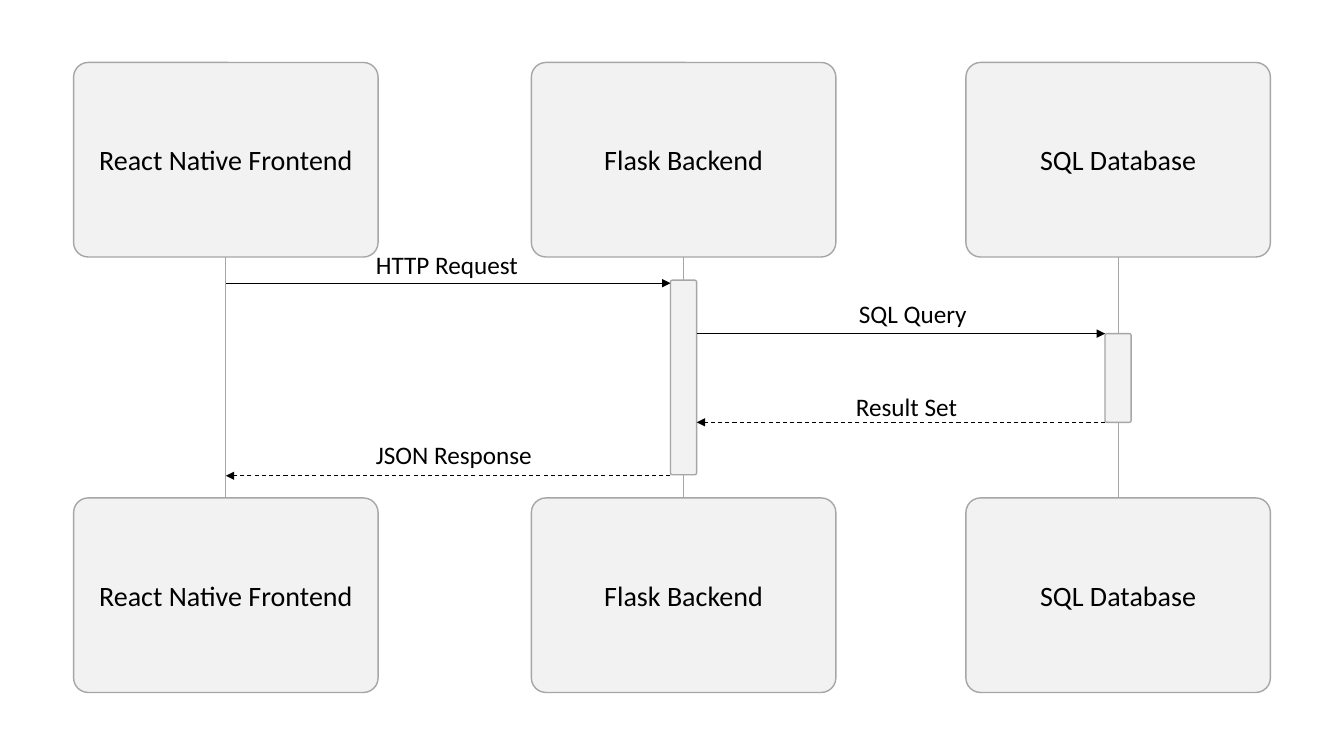
from dataclasses import dataclass

import pptx
import pptx.dml.color
import pptx.enum.dml
import pptx.enum.shapes
import pptx.enum.text
import pptx.oxml
import pptx.oxml.ns
import pptx.shapes.autoshape
import pptx.shapes.connector
import pptx.slide
import pptx.text.text
import pptx.util

PX = 9144  # EMU: 100 px to the inch

BLACK = pptx.dml.color.RGBColor(0x00, 0x00, 0x00)
LIGHT_GRAY = pptx.dml.color.RGBColor(0xF2, 0xF2, 0xF2)
MID_GRAY = pptx.dml.color.RGBColor(0xA6, 0xA6, 0xA6)

FONT = "Calibri"
BOX_WIDTH, BOX_HEIGHT = 302, 193
TOP_ROW, BOTTOM_ROW = 62, 494
ACTIVATION_WIDTH = 26
LABEL_HEIGHT = 40


@dataclass(frozen=True)
class Participant:
    name: str
    center: int


@dataclass(frozen=True)
class Activation:
    center: int
    top: int
    height: int


@dataclass(frozen=True)
class Message:
    text: str
    start: int
    end: int
    y: int
    label_left: int
    label_top: int
    label_width: int
    is_reply: bool = False


FRONTEND = Participant("React Native Frontend", 224)
BACKEND = Participant("Flask Backend", 678)
DATABASE = Participant("SQL Database", 1109)
PARTICIPANTS = (FRONTEND, DATABASE, BACKEND)

ACTIVATIONS = (
    Activation(BACKEND.center, 278, 193),
    Activation(DATABASE.center, 331, 88),
)

BACKEND_LEFT = BACKEND.center - ACTIVATION_WIDTH // 2
BACKEND_RIGHT = BACKEND.center + ACTIVATION_WIDTH // 2
DATABASE_LEFT = DATABASE.center - ACTIVATION_WIDTH // 2

MESSAGES = (
    Message("SQL Query", BACKEND_RIGHT, DATABASE_LEFT, 331, 842, 291, 128),
    Message("Result Set", DATABASE_LEFT, BACKEND_RIGHT, 419, 839, 383, 122, is_reply=True),
    Message("HTTP Request", FRONTEND.center, BACKEND_LEFT, 281, 363, 242, 163),
    Message("JSON Response", BACKEND_LEFT, FRONTEND.center, 472, 363, 431, 177, is_reply=True),
)


def px(length: int) -> pptx.util.Emu:
    return pptx.util.Emu(length * PX)


def write_text(
    frame: pptx.text.text.TextFrame,
    text: str,
    *,
    size: int,
    align: pptx.enum.text.PP_ALIGN = pptx.enum.text.PP_ALIGN.LEFT,
    anchor: pptx.enum.text.MSO_ANCHOR = pptx.enum.text.MSO_ANCHOR.TOP,
    wrap: bool = True,
) -> None:
    frame.word_wrap = wrap
    frame.vertical_anchor = anchor
    paragraph = frame.paragraphs[0]
    paragraph.alignment = align
    run = paragraph.add_run()
    run.text = text
    run.font.name = FONT
    run.font.size = pptx.util.Pt(size)
    run.font.color.rgb = BLACK


def add_box(
    slide: pptx.slide.Slide, left: int, top: int, width: int, height: int
) -> pptx.shapes.autoshape.Shape:
    """Add a gray rounded rectangle."""
    shape = slide.shapes.add_shape(
        pptx.enum.shapes.MSO_SHAPE.ROUNDED_RECTANGLE,
        px(left), px(top), px(width), px(height),
    )
    shape.adjustments[0] = 0.075
    shape.shadow.inherit = False
    shape.fill.solid()
    shape.fill.fore_color.rgb = LIGHT_GRAY
    shape.line.color.rgb = MID_GRAY
    shape.line.width = pptx.util.Pt(1)
    return shape


def add_line(
    slide: pptx.slide.Slide,
    start: tuple[int, int],
    end: tuple[int, int],
    color: pptx.dml.color.RGBColor,
    width: float,
) -> pptx.shapes.connector.Connector:
    connector = slide.shapes.add_connector(
        pptx.enum.shapes.MSO_CONNECTOR.STRAIGHT,
        px(start[0]), px(start[1]), px(end[0]), px(end[1]),
    )
    connector.line.color.rgb = color
    connector.line.width = pptx.util.Pt(width)
    properties = connector._element.spPr
    properties.append(pptx.oxml.parse_xml(f"<a:effectLst {pptx.oxml.ns.nsdecls('a')}/>"))
    return connector


def add_participant(slide: pptx.slide.Slide, participant: Participant) -> None:
    """Add the two boxes of a participant and the lifeline between them."""
    for top in (TOP_ROW, BOTTOM_ROW):
        box = add_box(slide, participant.center - BOX_WIDTH // 2, top, BOX_WIDTH, BOX_HEIGHT)
        write_text(
            box.text_frame,
            participant.name,
            size=20,
            align=pptx.enum.text.PP_ALIGN.CENTER,
            anchor=pptx.enum.text.MSO_ANCHOR.MIDDLE,
        )
    lifeline_top = (participant.center, TOP_ROW + BOX_HEIGHT)
    add_line(slide, lifeline_top, (participant.center, BOTTOM_ROW), MID_GRAY, 0.5)


def add_message_arrow(slide: pptx.slide.Slide, message: Message) -> None:
    connector = add_line(
        slide,
        (message.start, message.y),
        (message.end, message.y),
        BLACK,
        0.75 if message.is_reply else 1,
    )
    if message.is_reply:
        connector.line.dash_style = pptx.enum.dml.MSO_LINE.DASH
    arrowhead = f'<a:tailEnd {pptx.oxml.ns.nsdecls("a")} type="triangle"/>'
    connector.line._get_or_add_ln().append(pptx.oxml.parse_xml(arrowhead))


def add_message_label(slide: pptx.slide.Slide, message: Message) -> None:
    label = slide.shapes.add_textbox(
        px(message.label_left), px(message.label_top),
        px(message.label_width), px(LABEL_HEIGHT),
    )
    write_text(label.text_frame, message.text, size=18, wrap=False)
    label.text_frame.auto_size = pptx.enum.text.MSO_AUTO_SIZE.SHAPE_TO_FIT_TEXT


def main() -> None:
    presentation = pptx.Presentation()
    presentation.slide_width = px(1333)
    presentation.slide_height = px(750)
    blank_layout = presentation.slide_layouts.get_by_name("Blank")
    slide = presentation.slides.add_slide(blank_layout)

    for participant in PARTICIPANTS:
        add_participant(slide, participant)
    for activation in ACTIVATIONS:
        left = activation.center - ACTIVATION_WIDTH // 2
        add_box(slide, left, activation.top, ACTIVATION_WIDTH, activation.height)
    for message in MESSAGES:
        add_message_arrow(slide, message)
    for message in MESSAGES:
        add_message_label(slide, message)

    presentation.save("out.pptx")


if __name__ == "__main__":
    main()
